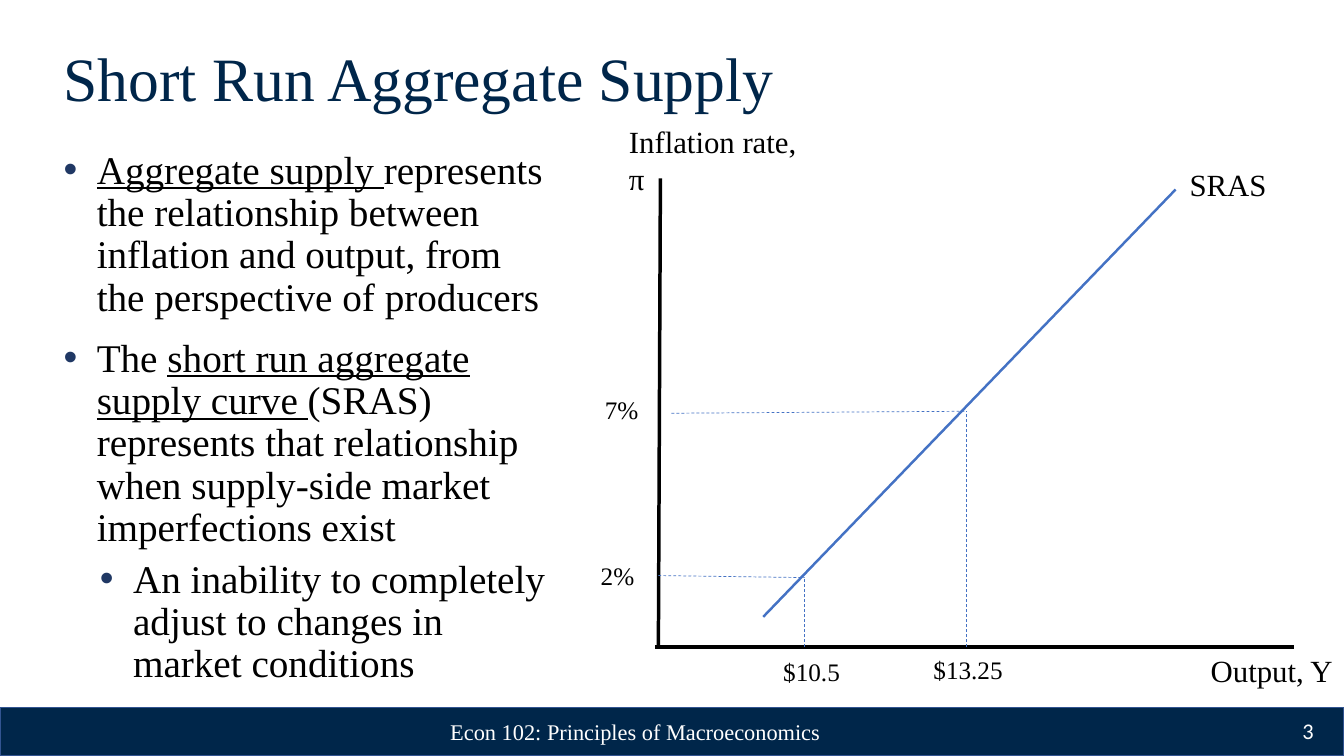
from lxml import etree
from pptx import Presentation
from pptx.dml.color import RGBColor
from pptx.enum import dml, shapes, text
from pptx.oxml import ns
from pptx.util import Inches, Pt

NAVY = RGBColor(0x00, 0x26, 0x4A)
EDGE = RGBColor(0x32, 0x54, 0x91)
BLUE = RGBColor(0x44, 0x72, 0xC4)
BLACK = RGBColor(0, 0, 0)
WHITE = RGBColor(255, 255, 255)
DOT = "203864"
SERIF = "Times New Roman"
LEFT, MID, RIGHT = text.PP_ALIGN.LEFT, text.PP_ALIGN.CENTER, text.PP_ALIGN.RIGHT


def style(font, size, color, name=SERIF):
    font.size = Pt(size)
    font.name = name
    font.color.rgb = color


def place(shape, x, y, w, h):
    shape.left, shape.top, shape.width, shape.height = map(Inches, (x, y, w, h))


def pad(frame, side, edge):
    frame.margin_left = frame.margin_right = Inches(side)
    frame.margin_top = frame.margin_bottom = Inches(edge)


def label(slide, words, x, y, w, h, size, color=BLACK, name=SERIF, align=LEFT, wrap=True):
    frame = slide.shapes.add_textbox(*map(Inches, (x, y, w, h))).text_frame
    frame.word_wrap = wrap
    frame.text = words
    for para in frame.paragraphs:
        para.alignment = align
        for run in para.runs:
            style(run.font, size, color, name)
    return frame


def line(slide, start, end, color, width, dash=False):
    link = slide.shapes.add_connector(
        shapes.MSO_CONNECTOR.STRAIGHT, *map(Inches, (*start, *end)))
    link.line.color.rgb = color
    link.line.width = Pt(width)
    if dash:
        link.line.dash_style = dml.MSO_LINE.DASH
    etree.SubElement(link._element.spPr, ns.qn("a:effectLst"))


def bullet(para, indent):
    props = para._p.get_or_add_pPr()
    props.set("marL", str(Inches(indent)))
    props.set("indent", str(Inches(-0.33)))
    tint = etree.SubElement(props, ns.qn("a:buClr"))
    etree.SubElement(tint, ns.qn("a:srgbClr"), val=DOT)
    etree.SubElement(props, ns.qn("a:buFont"), typeface="Arial")
    etree.SubElement(props, ns.qn("a:buChar"), char="•")


def title(shape, x, y, w, h):
    place(shape, x, y, w, h)
    frame = shape.text_frame
    frame.text = "Short Run Aggregate Supply"
    frame.vertical_anchor = text.MSO_ANCHOR.MIDDLE
    frame.auto_size = text.MSO_AUTO_SIZE.NONE
    pad(frame, 0.13, 0.07)
    para = frame.paragraphs[0]
    para.alignment = LEFT
    para.line_spacing = 0.9
    style(para.runs[0].font, 44, NAVY)


def body(shape, x, y, w, h):
    place(shape, x, y, w, h)
    frame = shape.text_frame
    frame.auto_size = text.MSO_AUTO_SIZE.NONE
    pad(frame, 0.13, 0.07)
    points = [
        (0, 0, [("Aggregate supply ", True),
                ("represents the relationship between inflation and output, "
                 "from the perspective of producers", False)]),
        (0, 13.3, [("The ", False), ("short run aggregate supply curve ", True),
                   ("(SRAS) represents that relationship when supply-side "
                    "market imperfections exist", False)]),
        (1, 6.7, [("An inability to completely adjust to changes in "
                   "market conditions", False)]),
    ]
    for i, (level, gap, parts) in enumerate(points):
        para = frame.add_paragraph() if i else frame.paragraphs[0]
        para.level = level
        bullet(para, 0.69 if level else 0.33)
        para.line_spacing = 0.9
        para.space_before = Pt(gap)
        for words, under in parts:
            run = para.add_run()
            run.text = words
            style(run.font, 28, BLACK)
            run.font.underline = under


def graph(slide, x, y, w, h):
    base = y + h - 0.47
    axis = x + 0.67
    line(slide, (axis - 0.03, base), (x + w - 0.5, base), BLACK, 2.5)
    line(slide, (axis + 0.02, y + 0.6), (axis, base), BLACK, 2.5)
    line(slide, (x + 1.71, base - 0.3), (x + 5.8, y + 0.71), BLUE, 1.75)

    low, high = (x + 2.12, base - 0.69), (x + 3.72, base - 2.34)
    for start, end in [
        ((axis + 0.13, high[1] + 0.02), high),
        ((high[0], base), high),
        ((axis, low[1] - 0.02), low),
        ((low[0], base), low),
    ]:
        line(slide, start, end, BLUE, 0.5, True)

    for words, dx, dy, wide, tall in [
        ("Inflation rate,\nπ", 0.28, 0, 1.96, 0.84),
        ("SRAS", 5.84, 0.42, 0.97, 0.47),
        ("Output, Y", w - 1.42, h - 0.47, 1.42, 0.47),
    ]:
        label(slide, words, x + dx, y + dy, wide, tall, 22, wrap=False)
    for words, dx, dy, wide in [
        ("7%", 0.04, 2.69, 0.58),
        ("2%", 0, 4.34, 0.55),
        ("$10.5", 1.81, 5.29, 0.93),
        ("$13.25", 3.3, 5.27, 1.1),
    ]:
        label(slide, words, x + dx, y + dy, wide, 0.4, 18)


def footer(slide, x, y, w, h):
    bar = slide.shapes.add_shape(
        shapes.MSO_SHAPE.RECTANGLE, *map(Inches, (x, y, w, h)))
    bar.shadow.inherit = False
    bar.fill.solid()
    bar.fill.fore_color.rgb = NAVY
    bar.line.color.rgb = EDGE
    bar.line.width = Pt(1)
    for words, dx, dy, wide, name, align in [
        ("Econ 102: Principles of Macroeconomics", 4.05, 0.04, 4.5, SERIF, MID),
        ("3", 12.23, 0.03, 0.93, "Calibri", RIGHT),
    ]:
        frame = label(slide, words, x + dx, y + dy, wide, 0.4, 16, WHITE, name, align)
        frame.vertical_anchor = text.MSO_ANCHOR.MIDDLE
        pad(frame, 0.13, 0.07)


def main():
    deck = Presentation()
    deck.slide_width, deck.slide_height = Inches(13.33), Inches(7.5)
    slide = deck.slides.add_slide(deck.slide_layouts[1])
    footer(slide, 0, 7.02, 13.33, 0.48)
    title(slide.shapes.title, 0.5, 0.4, 12.33, 0.81)
    body(slide.placeholders[1], 0.5, 1.42, 5.08, 5.6)
    graph(slide, 5.86, 1.17, 7.47, 5.72)
    deck.save("out.pptx")


if __name__ == "__main__":
    main()
